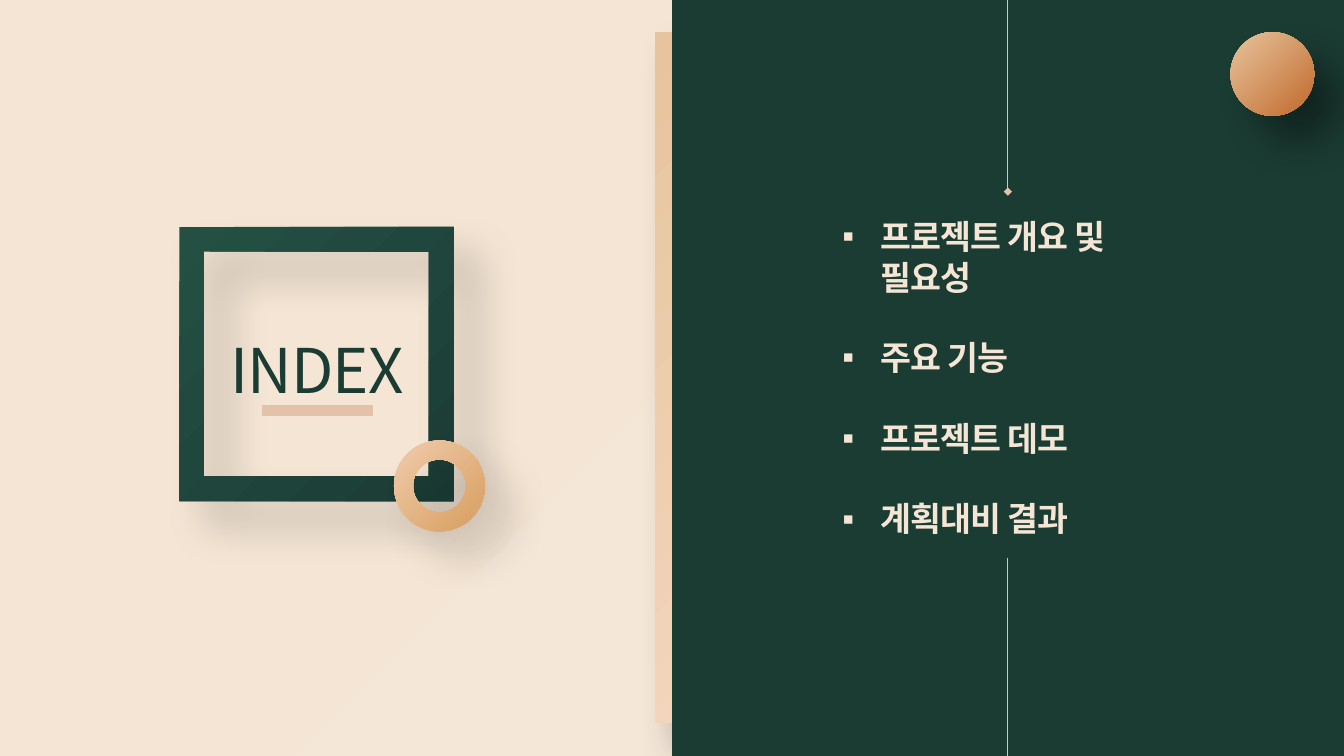
from lxml import etree
from pptx import Presentation
from pptx.dml.color import RGBColor
from pptx.enum.shapes import MSO_CONNECTOR as Link, MSO_SHAPE as Kind
from pptx.enum.text import MSO_ANCHOR as Anchor, MSO_AUTO_SIZE as Auto, PP_ALIGN as Align
from pptx.oxml.ns import qn
from pptx.util import Cm, Pt

FONT = "Noto Sans CJK KR"
PINE, CREAM, SAND = "1B3C33", "F4E5D4", "E4C2A9"
TOPICS = ["프로젝트 개요 및 필요성", "주요 기능", "프로젝트 데모", "계획대비 결과"]


def color(code):
    return RGBColor.from_string(code)


def add(parent, tag, **attrs):
    node = etree.SubElement(parent, qn(tag))
    for key, value in attrs.items():
        node.set(key, str(value))
    return node


def apply(target, style):
    for key, value in style.items():
        setattr(target, key, value)


def blend(fill, node, codes, radial=False):
    """Two-colour gradient, diagonal or centred on the lower right corner."""
    fill.gradient()
    fill.gradient_angle = 315
    for stop, code in zip(fill.gradient_stops, codes):
        stop.color.rgb = color(code)
    if radial:
        lin = next(node.iter(qn("a:lin")))
        ring = add(lin.getparent(), "a:path", path="circle")
        add(ring, "a:fillToRect", l=100000, t=100000)
        lin.getparent().remove(lin)


def shade(shape, alpha):
    """Soft shadow cast to the lower right; alpha in percent."""
    effects = add(shape.element.spPr, "a:effectLst")
    cast = add(effects, "a:outerShdw", blurRad=Pt(30), dist=Pt(26),
               dir=45 * 60000, algn="tl", rotWithShape=0)
    black = add(cast, "a:srgbClr", val="000000")
    add(black, "a:alpha", val=alpha * 1000)


def draw(slide, kind, box, codes, alpha=0, adjust=None, radial=False):
    shape = slide.shapes.add_shape(kind, *map(Cm, box))
    blend(shape.fill, shape.element, codes, radial)
    shape.line.fill.background()
    if adjust is not None:
        shape.adjustments[0] = adjust
    if alpha:
        shade(shape, alpha)
    else:
        shape.shadow.inherit = False
    return shape


def rule(slide, start, end, width=0.75):
    line = slide.shapes.add_connector(Link.STRAIGHT, *map(Cm, start + end))
    line.line.color.rgb = color(SAND)
    line.line.width = Pt(width)
    add(line.element.spPr, "a:effectLst")
    return line


def place(slide, holder, box, inset):
    """Moves a placeholder to the front and into its box."""
    slide.shapes.element.append(holder.element)
    apply(holder, dict(zip(("left", "top", "width", "height"), map(Cm, box))))
    sides = ("margin_left", "margin_top", "margin_right", "margin_bottom")
    apply(holder.text_frame, {
        "word_wrap": True, "auto_size": Auto.NONE,
        "vertical_anchor": Anchor.MIDDLE,
        **dict(zip(sides, map(Cm, inset)))})
    return holder.text_frame


def write(para, text, code, style):
    run = para.add_run()
    run.text = text
    apply(run.font, {"name": FONT, **style})
    run.font.color.rgb = color(code)
    props = run.font._element
    props.set("spc", "-60")
    add(props, "a:ea", typeface=FONT)


def bullet(para):
    props = para._p.get_or_add_pPr()
    props.set("marL", str(Cm(0.95)))
    props.set("indent", str(Cm(-0.95)))
    add(props, "a:buFont", typeface="Arial")
    add(props, "a:buChar", char="▪")


def fill_title(slide):
    frame = place(slide, slide.shapes.title, (4.52, 8.33, 6.93, 1.57), (0,) * 4)
    para = frame.paragraphs[0]
    apply(para, {"alignment": Align.CENTER, "line_spacing": 1.2})
    write(para, "INDEX", PINE, {"size": Pt(44), "bold": False})


def fill_list(slide):
    frame = place(slide, slide.placeholders[1], (20.98, 0.81, 9.37, 17.4),
                  (0.25, 0.13, 0.25, 0.13))
    pitch = Pt(28.8)
    for i, topic in enumerate(TOPICS):
        para = frame.add_paragraph() if i else frame.paragraphs[0]
        bullet(para)
        apply(para, {"alignment": Align.LEFT, "line_spacing": pitch,
                     "space_before": pitch if i else Pt(0)})
        write(para, topic, CREAM, {"size": Pt(24), "bold": True})


def main():
    deck = Presentation()
    apply(deck, {"slide_width": Cm(33.87), "slide_height": Cm(19.05)})
    slide = deck.slides.add_slide(deck.slide_layouts[1])
    blend(slide.background.fill, slide.element, ("F5E7D8", CREAM), radial=True)

    draw(slide, Kind.RECTANGLE, (16.51, 0.81, 0.94, 17.4), ("E7C49D", "F3D5BB"), 40)
    panel = draw(slide, Kind.RECTANGLE, (16.93, 0, 16.94, 19.05),
                 ("1B3C35", PINE), radial=True)
    draw(slide, Kind.FRAME, (4.52, 5.72, 6.91, 6.91), ("245044", "1B3C35"), 17, 0.09)
    draw(slide, Kind.DONUT, (9.93, 11.1, 2.29, 2.29), ("F0CCAC", "D89E5F"), 17, 0.21)
    fill_title(slide)
    fill_list(slide)
    draw(slide, Kind.OVAL, (31.01, 0.81, 2.11, 2.11), ("E7C49D", "C16A2C"), 40)

    upper = rule(slide, (25.4, 0), (25.4, 4.83))
    upper.begin_connect(panel, 0)
    add(upper.line._get_or_add_ln(), "a:tailEnd", type="diamond")
    lower = rule(slide, (25.4, 14.05), (25.4, 19.05))
    lower.end_connect(panel, 2)
    rule(slide, (6.6, 10.34), (9.4, 10.34), 8)
    deck.save("out.pptx")


if __name__ == "__main__":
    main()
